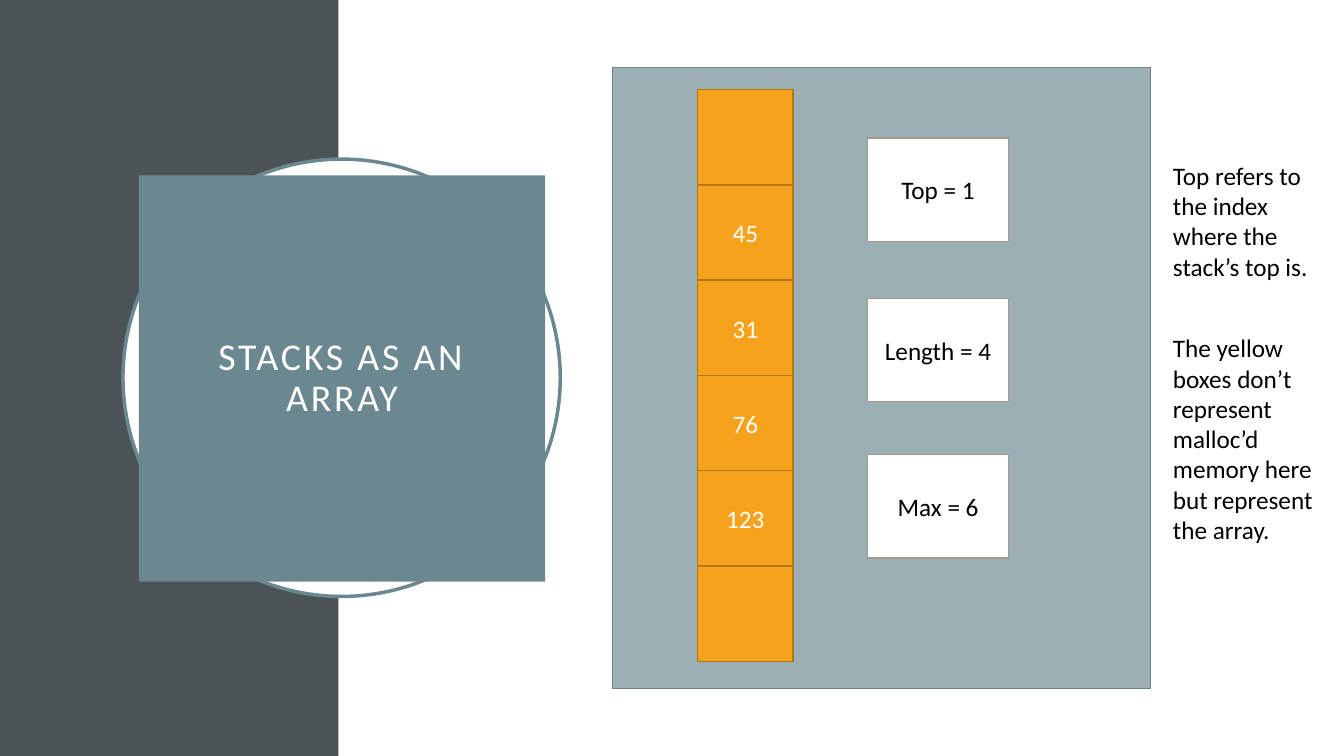
from dataclasses import dataclass

from pptx import Presentation
from pptx.dml.color import RGBColor
from pptx.enum.shapes import MSO_SHAPE
from pptx.enum.text import MSO_ANCHOR, PP_ALIGN
from pptx.shapes.autoshape import Shape
from pptx.slide import Slide
from pptx.util import Cm, Pt

WHITE = RGBColor(0xFF, 0xFF, 0xFF)
BLACK = RGBColor(0x00, 0x00, 0x00)
CHARCOAL = RGBColor(0x4A, 0x53, 0x56)
TEAL = RGBColor(0x6B, 0x88, 0x91)
PALE_TEAL = RGBColor(0x9B, 0xAF, 0xB5)
PALE_TEAL_EDGE = RGBColor(0x73, 0x81, 0x86)
ORANGE = RGBColor(0xF6, 0xA2, 0x1D)
ORANGE_EDGE = RGBColor(0xB6, 0x78, 0x15)
TAUPE = RGBColor(0xA0, 0x98, 0x8C)
FONT = "Calibri"


@dataclass(frozen=True)
class Box:
    """A filled shape; lengths are in centimetres, sizes in points."""
    left: float
    top: float
    width: float
    height: float
    fill: RGBColor
    edge: RGBColor | None = None
    edge_width: float = 1
    text: str = ""
    text_color: RGBColor = WHITE
    text_size: float = 18
    kind: MSO_SHAPE = MSO_SHAPE.RECTANGLE


@dataclass(frozen=True)
class Note:
    top: float
    width: float
    height: float
    text: str


def add_run(paragraph, text: str, size: float, color: RGBColor):
    run = paragraph.add_run()
    run.text = text
    run.font.name = FONT
    run.font.size = Pt(size)
    run.font.color.rgb = color
    return run


def draw_box(slide: Slide, box: Box) -> Shape:
    shape = slide.shapes.add_shape(
        box.kind, Cm(box.left), Cm(box.top), Cm(box.width), Cm(box.height))
    shape.shadow.inherit = False
    shape.fill.solid()
    shape.fill.fore_color.rgb = box.fill
    if box.edge is None:
        shape.line.fill.background()
    else:
        shape.line.color.rgb = box.edge
        shape.line.width = Pt(box.edge_width)
    if box.text:
        frame = shape.text_frame
        frame.word_wrap = True
        frame.vertical_anchor = MSO_ANCHOR.MIDDLE
        paragraph = frame.paragraphs[0]
        paragraph.alignment = PP_ALIGN.CENTER
        add_run(paragraph, box.text, box.text_size, box.text_color)
    return shape


def draw_title(slide: Slide) -> None:
    title = draw_box(slide, Box(3.5, 4.42, 10.24, 10.24, TEAL,
                                text="STACKS AS AN ARRAY", text_size=27))
    frame = title.text_frame
    frame.margin_left = frame.margin_right = Cm(1.5)
    paragraph = frame.paragraphs[0]
    paragraph.line_spacing = 0.9
    # Letter spacing, in hundredths of a point
    paragraph.runs[0].font._element.set("spc", "200")


def draw_note(slide: Slide, note: Note) -> None:
    frame = slide.shapes.add_textbox(
        Cm(29.31), Cm(note.top), Cm(note.width), Cm(note.height)).text_frame
    frame.word_wrap = True
    add_run(frame.paragraphs[0], note.text, 18, BLACK)


# Side band, memory panel and ring behind the title
BACKDROP = [
    Box(0, 0, 8.53, 19.05, CHARCOAL),
    Box(15.44, 1.7, 13.55, 15.65, PALE_TEAL, PALE_TEAL_EDGE),
    Box(3.1, 4.01, 11.02, 11.02, WHITE, TEAL, 2.5, kind=MSO_SHAPE.OVAL),
]

# Array cells from top to bottom; the first and last are empty
ARRAY_VALUES = ["", "45", "31", "76", "123", ""]
CELL_TOP, CELL_PITCH, CELL_SIZE = 2.26, 2.4, 2.41

# Stack fields and their top edges
FIELDS = {"Top = 1": 3.48, "Length = 4": 7.52, "Max = 6": 11.46}

NOTES = [
    Note(3.91, 4.55, 3.33, "Top refers to the index where the stack’s top is."),
    Note(8.26, 4.17, 5.64, "The yellow boxes don’t represent malloc’d memory "
                           "here but represent the array."),
]


def main() -> None:
    presentation = Presentation()
    presentation.slide_width = Cm(33.87)
    presentation.slide_height = Cm(19.05)
    slide = presentation.slides.add_slide(presentation.slide_layouts[6])

    for box in BACKDROP:
        draw_box(slide, box)
    draw_title(slide)
    for index, value in enumerate(ARRAY_VALUES):
        draw_box(slide, Box(17.58, CELL_TOP + index * CELL_PITCH, CELL_SIZE,
                            CELL_SIZE, ORANGE, ORANGE_EDGE, text=value))
    for field, top in FIELDS.items():
        draw_box(slide, Box(21.87, top, 3.54, 2.6, WHITE, TAUPE,
                            text=field, text_color=BLACK))
    for note in NOTES:
        draw_note(slide, note)

    presentation.save("out.pptx")


if __name__ == "__main__":
    main()
